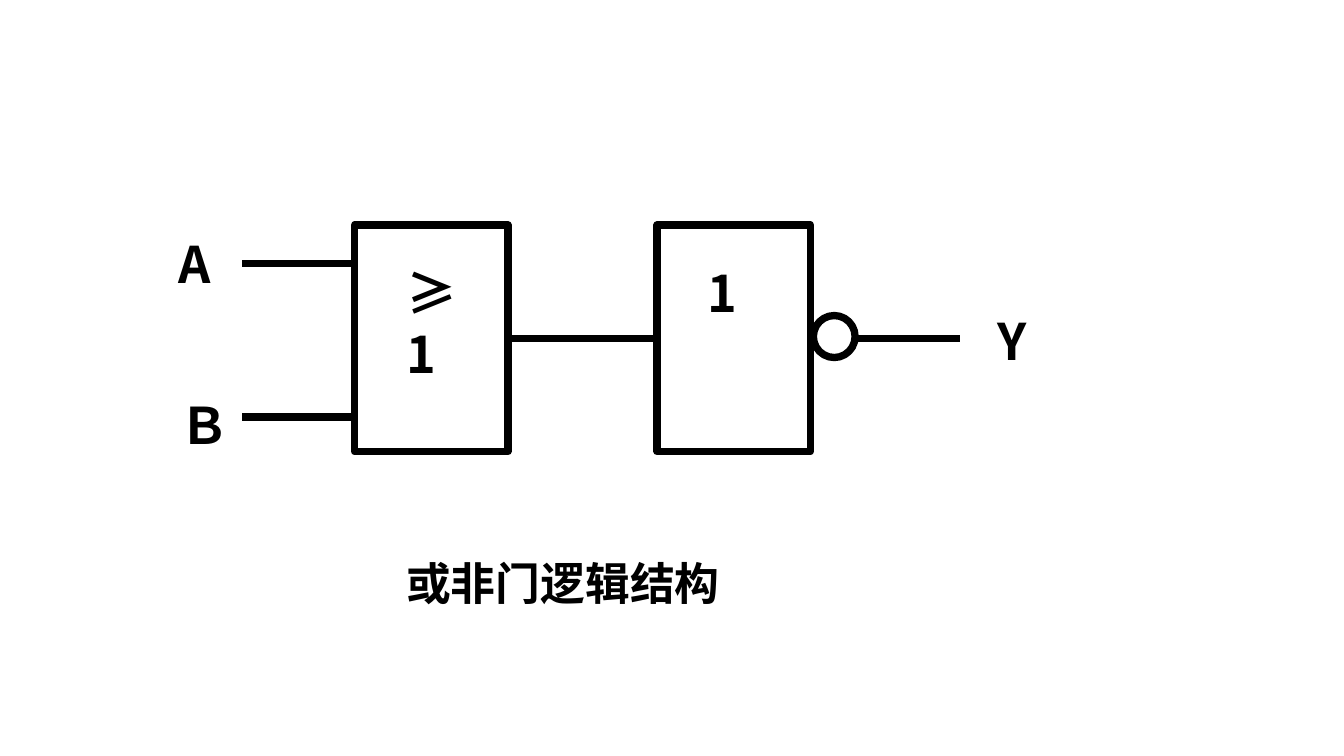
"""Draw the logic structure of a NOR gate as an OR gate followed by an inverter."""
from pptx import Presentation
from pptx.dml.color import RGBColor
from pptx.enum import shapes, text
from pptx.oxml import ns
from pptx.util import Pt
from lxml import etree

COLORS = {"ink": "000000", "paper": "FFFFFF"}
FONT = "Noto Sans CJK SC"
STROKE = Pt(5.25)
GATE_TOP, GATE_W, GATE_H = 160.6, 109.4, 162
OR_LEFT, NOT_LEFT = 253.4, 469.4
MIDDLE = GATE_TOP + GATE_H / 2


def add_body(kind, left, top, width, height):
    sp = s.shapes.add_shape(kind, Pt(left), Pt(top), Pt(width), Pt(height))
    sp.shadow.inherit = False
    sp.fill.solid()
    sp.fill.fore_color.rgb = RGBColor.from_string(COLORS["paper"])
    sp.line.color.rgb = RGBColor.from_string(COLORS["ink"])
    sp.line.width = STROKE
    return sp


def add_wire(x1, y1, x2, y2):
    wire = s.shapes.add_connector(
        shapes.MSO_CONNECTOR.STRAIGHT, Pt(x1), Pt(y1), Pt(x2), Pt(y2))
    wire.line.color.rgb = RGBColor.from_string(COLORS["ink"])
    wire.line.width = STROKE
    etree.SubElement(wire._element.spPr, ns.qn("a:effectLst"))
    return wire


prs = Presentation()
prs.slide_width, prs.slide_height = Pt(960), Pt(540)
s = prs.slides.add_slide(prs.slide_layouts[6])

or_gate, not_gate = [
    add_body(shapes.MSO_SHAPE.RECTANGLE, left, GATE_TOP, GATE_W, GATE_H)
    for left in (OR_LEFT, NOT_LEFT)]

for y in (188, 298):
    add_wire(173, y, OR_LEFT, y)
link = add_wire(OR_LEFT + GATE_W, MIDDLE, NOT_LEFT, MIDDLE)
link.begin_connect(or_gate, 3)
link.end_connect(not_gate, 1)
output = add_wire(NOT_LEFT + GATE_W, MIDDLE, 685.4, MIDDLE)
output.begin_connect(not_gate, 3)
add_body(shapes.MSO_SHAPE.OVAL, 581, 225.4, 29.8, 30)

labels = [
    ("Y", 705.6, 215.3, 35.3, 51, 36, False),
    ("A", 120.2, 160.6, 38.9, 51, 36, False),
    ("Ｂ", 121, 275, 51, 51, 36, False),
    ("≥1", 283, 180.7, 59.8, 51, 36, True),
    ("1", 498.2, 180.7, 34.6, 51, 36, False),
    ("或非门逻辑结构", 283, 391, 240.5, 46, 32, False),
]
for label, left, top, width, height, size, wrap in labels:
    sp = s.shapes.add_textbox(Pt(left), Pt(top), Pt(width), Pt(height))
    tf = sp.text_frame
    tf.word_wrap = wrap
    tf.vertical_anchor = text.MSO_ANCHOR.TOP
    tf.margin_top = Pt(5.8)
    p = tf.paragraphs[0]
    p.line_spacing = Pt(size * 1.21)
    r = p.add_run()
    r.text = label
    r.font.size = Pt(size)
    r.font.bold = True
    r.font.color.rgb = RGBColor.from_string(COLORS["ink"])
    r.font.name = FONT
    etree.SubElement(r.font._element, ns.qn("a:ea"), typeface=FONT)

prs.save("out.pptx")
